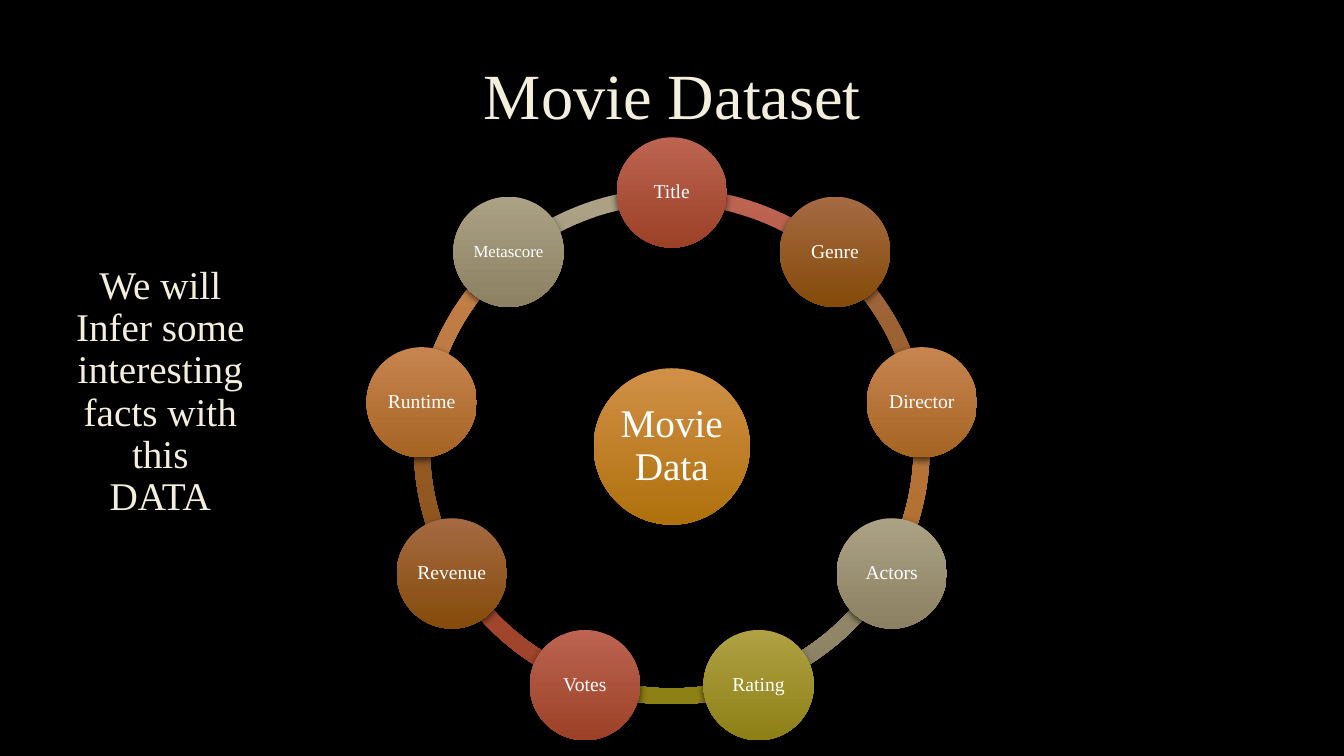
import math
from lxml import etree
from pptx import Presentation
from pptx import util as u
from pptx.dml import color
from pptx.enum import shapes, text
from pptx.oxml import ns

RED = ("BC6451", "9C4127")
BROWN = ("A56A42", "844B0A")
ORANGE = ("C78450", "A66523")
TAUPE = ("ABA185", "8C8162")
OLIVE = ("B0A144", "8D8015")
GOLD = ("D19048", "AF710C")

FIELDS = [
    ("Title", RED), ("Genre", BROWN), ("Director", ORANGE),
    ("Actors", TAUPE), ("Rating", OLIVE), ("Votes", RED),
    ("Revenue", BROWN), ("Runtime", ORANGE), ("Metascore", TAUPE),
]
CENTER_X, CENTER_Y = 16.93, 11.25
ORBIT, RING, NODE, HUB = 6.4, 13.0, 2.78, 3.94
STEP = 360 / len(FIELDS)


def rgb(value):
    return color.RGBColor.from_string(value)


def add_colour(parent, value, alpha):
    colour = etree.SubElement(parent, ns.qn("a:srgbClr"), val=value)
    etree.SubElement(colour, ns.qn("a:alpha"), val=str(alpha * 1000))


class SlideBuilder:
    font = "Times New Roman"
    cream = "F4EEDC"
    white = "FFFFFF"

    def __init__(self, deck):
        self.page = deck.slides.add_slide(deck.slide_layouts[5])
        fill = self.page.background.fill
        fill.solid()
        fill.fore_color.rgb = rgb("000000")

    def set_text(self, box, lines, size, colour, inset=None):
        frame = box.text_frame
        frame.word_wrap = True
        frame.vertical_anchor = text.MSO_ANCHOR.MIDDLE
        if inset is not None:
            frame.margin_left = frame.margin_right = u.Cm(inset)
            frame.margin_top = frame.margin_bottom = u.Cm(inset)
        frame.text = "\n".join(lines)
        for para in frame.paragraphs:
            para.alignment = text.PP_ALIGN.CENTER
            para.line_spacing = 0.9
            para.font.name = self.font
            para.font.size = u.Pt(size)
            para.font.color.rgb = rgb(colour)

    def outline(self, box):
        for para in box.text_frame.paragraphs:
            for span in para.runs:
                line = etree.Element(ns.qn("a:ln"), w=str(u.Pt(0.75)))
                add_colour(etree.SubElement(line, ns.qn("a:solidFill")), "404040", 10)
                span._r.get_or_add_rPr().insert(0, line)

    def title(self, words, left, top, width, height):
        box = self.page.shapes.title
        box.left, box.top = u.Cm(left), u.Cm(top)
        box.width, box.height = u.Cm(width), u.Cm(height)
        self.set_text(box, [words], 46, self.cream)
        self.outline(box)

    def caption(self, lines, left, top, width, height):
        box = self.page.shapes.add_textbox(u.Cm(left), u.Cm(top), u.Cm(width), u.Cm(height))
        self.set_text(box, lines, 28, self.cream)
        self.outline(box)

    def round_shape(self, kind, x, y, diameter, colours):
        shape = self.page.shapes.add_shape(
            kind, u.Cm(x - diameter / 2), u.Cm(y - diameter / 2), u.Cm(diameter), u.Cm(diameter))
        shape.line.fill.background()
        shape.fill.gradient()
        shape.fill.gradient_angle = 270
        for stop, value in zip(shape.fill.gradient_stops, colours):
            stop.color.rgb = rgb(value)
        shape.shadow.inherit = False
        effects = shape._element.spPr.find(ns.qn("a:effectLst"))
        shadow = etree.SubElement(
            effects, ns.qn("a:outerShdw"), blurRad=str(u.Pt(5)), dist=str(u.Pt(2)),
            dir="5400000", rotWithShape="0")
        add_colour(shadow, "000000", 60)
        return shape

    def arc(self, start, end, colours):
        shape = self.round_shape(shapes.MSO_SHAPE.BLOCK_ARC, CENTER_X, CENTER_Y, RING, colours)
        for index, value in enumerate((start * 0.6, end * 0.6, 0.031)):
            shape.adjustments[index] = value

    def circle(self, label, x, y, diameter, colours, size):
        shape = self.round_shape(shapes.MSO_SHAPE.OVAL, x, y, diameter, colours)
        self.set_text(shape, [label], size, self.white, 0.05)


def main():
    deck = Presentation()
    deck.slide_width, deck.slide_height = u.Cm(33.87), u.Cm(19.05)
    slide = SlideBuilder(deck)
    slide.title("Movie Dataset", 2.57, 0.74, 28.75, 3.5)

    angles = [(270 + STEP * index) % 360 for index in range(len(FIELDS))]
    for angle, (label, colours) in reversed(list(zip(angles, FIELDS))):
        slide.arc(angle, (angle + STEP) % 360, colours)

    slide.circle("Movie Data", CENTER_X, CENTER_Y, HUB, GOLD, 28)
    for angle, (label, colours) in zip(angles, FIELDS):
        x = CENTER_X + ORBIT * math.cos(math.radians(angle))
        y = CENTER_Y + ORBIT * math.sin(math.radians(angle))
        slide.circle(label, x, y, NODE, colours, 12 if label == "Metascore" else 14)

    slide.caption(["We will Infer some interesting facts with this", "DATA"], 1.5, 1.12, 5.08, 17.53)
    deck.save("out.pptx")


if __name__ == "__main__":
    main()
